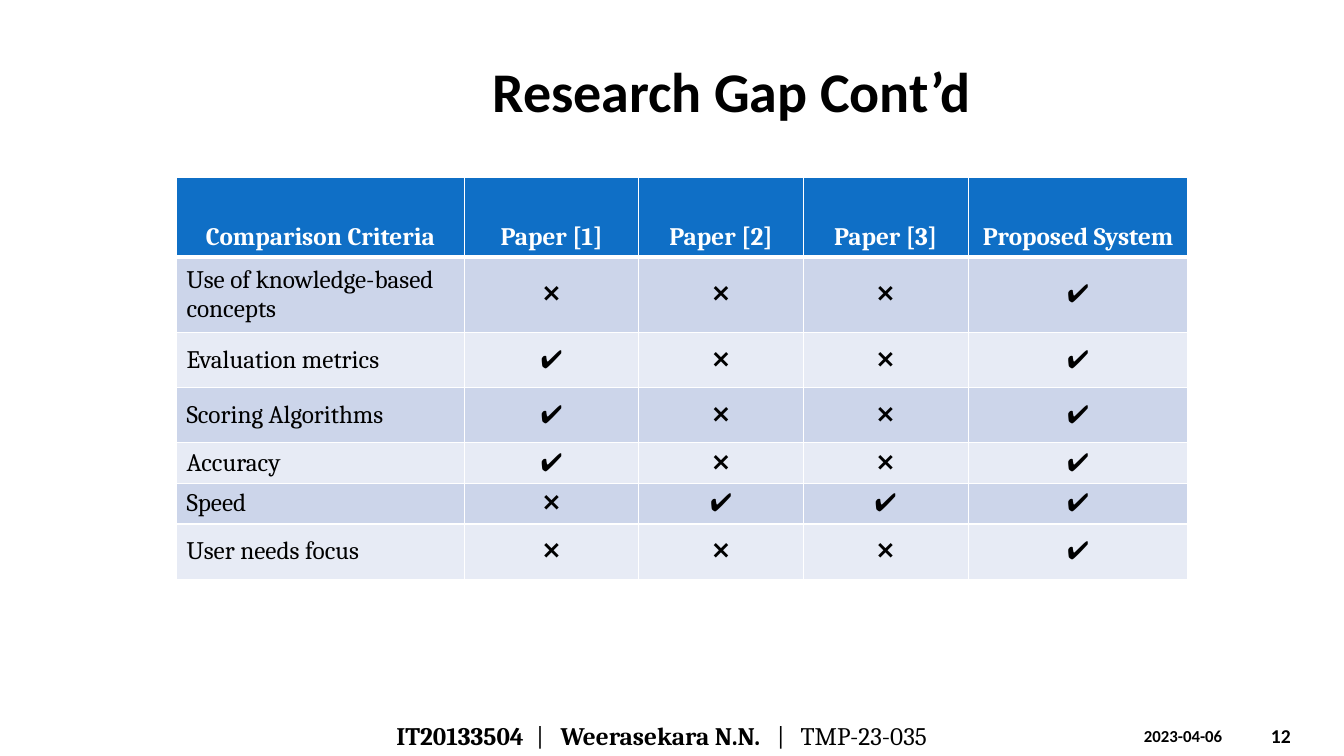
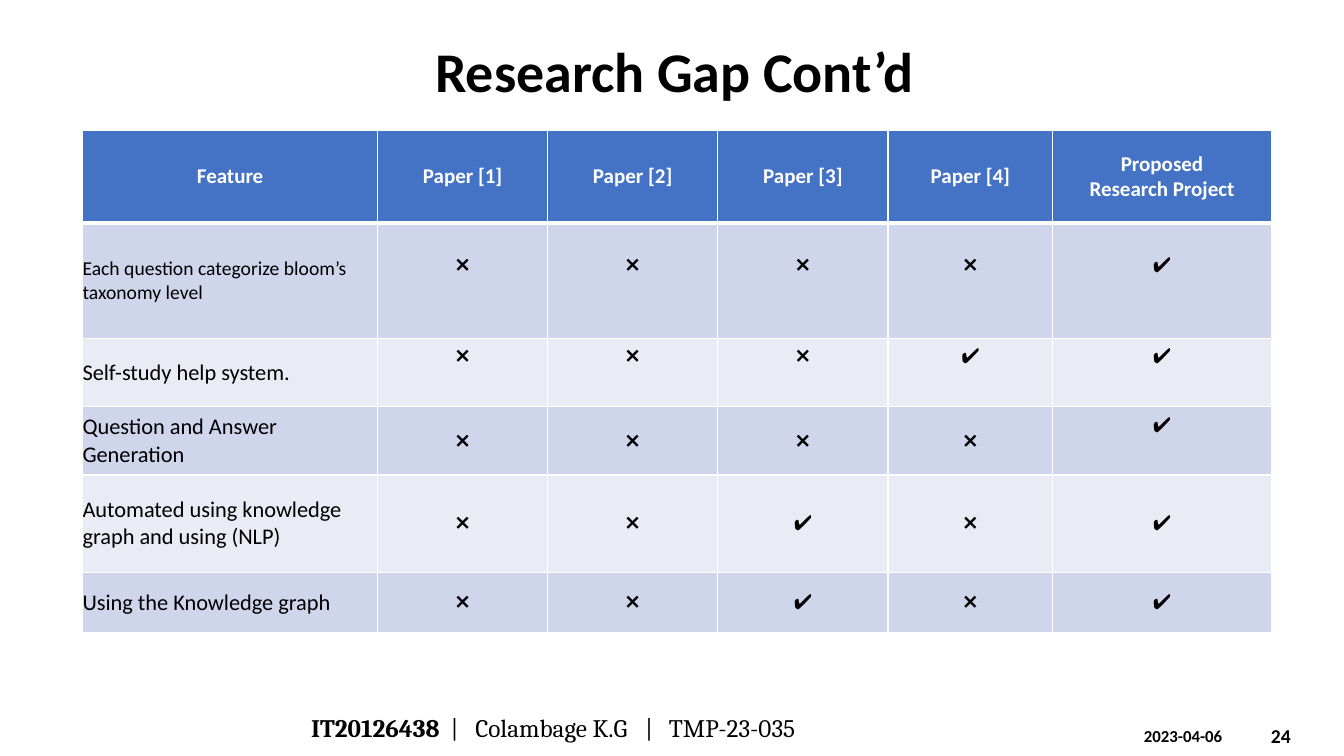
from lxml.etree import SubElement as Sub
from pptx import Presentation as Deck
from pptx.dml.color import RGBColor as Rgb
from pptx.enum.shapes import MSO_SHAPE as Form
from pptx.enum.text import MSO_ANCHOR as Anchor, PP_ALIGN as Align
from pptx.oxml.ns import qn
from pptx.util import Cm, Pt

HUES = {
    "ink": "000000", "white": "FFFFFF",
    "azure": "0F6FC6", "sky": "CCD5EA", "mist": "E7EBF5",
    "blue": "4472C4", "steel": "CFD5EA", "pale": "E9EBF5",
}

WIDE, HIGH = 33.87, 19.05
BANDS = [(1.04, 0.63), (0.51, 0.39)]
LIFT = 0.8

SLIDES = [
    dict(
        page="12", title=(12.16, 1.3),
        foot=(9.74, 18.03), bar=9.59,
        line="*IT20133504*\t|\t*Weerasekara N.N.*\t|\tTMP-23-035",
        spot=(4.45, 4.48), font="Cambria", head=18, mark=18,
        pad=(0.25, 0.13), top=Anchor.BOTTOM,
        hues=("azure", "sky", "mist"),
        cols=[7.25, 4.4, 4.14, 4.16, 5.54],
        names=["Comparison Criteria", "Paper [1]", "Paper [2]", "Paper [3]",
               "Proposed System"],
        tall=1.99,
        rows=[
            ("Use of knowledge-based concepts", "❌❌❌✔", 1.91, 18, None),
            ("Evaluation metrics", "✔❌❌✔", 1.39, 18, None),
            ("Scoring Algorithms", "✔❌❌✔", 1.39, 18, None),
            ("Accuracy", "✔❌❌✔", 0.8, 18, None),
            ("Speed", "❌✔✔✔", 1, 18, None),
            ("User needs focus", "❌❌❌✔", 1.39, 18, None),
        ],
    ),
    dict(
        page="24", title=(10.72, 0.79),
        foot=(7.59, 17.83), bar=8.42,
        line="*IT20126438*\t|\tColambage K.G\t|\tTMP-23-035",
        spot=(2.08, 3.29), font="Calibri", head=15, mark=15,
        pad=(0, 0), top=Anchor.MIDDLE,
        hues=("blue", "steel", "pale"),
        cols=[7.44, 4.28, 4.29, 4.29, 4.15, 5.51],
        names=["Feature", "Paper [1]", "Paper [2]", "Paper [3]", "Paper [4]",
               "Proposed\nResearch Project"],
        tall=2.33,
        rows=[
            ("Each question categorize bloom’s taxonomy level", "❌❌❌❌✔", 2.91, 14, 1),
            ("Self-study help system.", "❌❌❌✔✔", 1.72, 16, 1),
            ("Question and Answer Generation", "❌❌❌❌✔", 1.72, 16, 5),
            ("Automated using knowledge graph and using (NLP)", "❌❌✔❌✔", 2.45, 16, None),
            ("Using the Knowledge graph", "❌❌✔❌✔", 1.53, 16, None),
        ],
    ),
]


def write(frame, text, size, font="Calibri", hue="ink", bold=False,
          align=Align.LEFT, tabs=()):
    frame.word_wrap = True
    for i, line in enumerate(text.split("\n")):
        para = frame.add_paragraph() if i else frame.paragraphs[0]
        para.alignment = align
        if tabs:
            stops = Sub(para._p.get_or_add_pPr(), qn("a:tabLst"))
            for stop in tabs:
                Sub(stops, qn("a:tab"), pos=str(Cm(stop)), algn="l")
        for k, part in enumerate(line.split("*")):
            if part:
                run = para.add_run()
                run.text = part
                run.font.name = font
                run.font.size = Pt(size)
                run.font.bold = bold or k % 2 == 1
                run.font.color.rgb = Rgb.from_string(HUES[hue])


def edge(cell, heavy):
    props = cell._tc.get_or_add_tcPr()
    for side in "LRTB":
        width = Pt(3 if side == heavy else 1)
        line = Sub(props, qn(f"a:ln{side}"), w=str(width))
        fill = Sub(line, qn("a:solidFill"))
        Sub(fill, qn("a:srgbClr"), val=HUES["white"])


deck = Deck()
deck.slide_width, deck.slide_height = Cm(WIDE), Cm(HIGH)

for data in SLIDES:
    slide = deck.slides.add_slide(deck.slide_layouts[6])

    for tall, peak in BANDS:
        area = (0, HIGH - tall, WIDE, tall)
        band = slide.shapes.add_shape(Form.ISOSCELES_TRIANGLE, *map(Cm, area))
        band.adjustments[0] = peak
        band.shadow.inherit = False
        band.line.fill.background()
        band.fill.solid()
        band.fill.fore_color.rgb = Rgb.from_string(HUES["white"])
        tint = band._element.spPr.find(qn("a:solidFill"))[0]
        Sub(tint, qn("a:alpha"), val="20000")

    left, top = data["title"]
    start, base = data["foot"]
    bar = data["bar"]
    texts = [
        ((left, top, 13.13, 1.95), "Research Gap Cont’d", Anchor.TOP,
         dict(size=40, bold=True)),
        ((28.58, 18.16, 2.97, 0.76), "2023-04-06", Anchor.TOP,
         dict(size=12, bold=True)),
        ((31.78, 18.03, 1.88, 1.02), data["page"], Anchor.MIDDLE,
         dict(size=14, bold=True)),
        ((start, base, 18.8, 1.02), data["line"], Anchor.MIDDLE,
         dict(size=18, font="Cambria", tabs=(3.52, 4.14, bar, bar + 0.6))),
    ]
    for area, text, anchor, style in texts:
        frame = slide.shapes.add_textbox(*map(Cm, area)).text_frame
        frame.vertical_anchor = anchor
        write(frame, text, **style)

    rows = [(data["names"], data["tall"], data["head"], None)]
    rows += [([name, *marks], tall, size, lift)
             for name, marks, tall, size, lift in data["rows"]]
    cols = data["cols"]
    high = sum(row[1] for row in rows)
    grid = slide.shapes.add_table(
        len(rows), len(cols), *map(Cm, (*data["spot"], sum(cols), high))).table
    for col, width in zip(grid.columns, cols):
        col.width = Cm(width)

    side, gap = data["pad"]
    for r, (texts, tall, size, lift) in enumerate(rows):
        grid.rows[r].height = Cm(tall)
        hue = data["hues"][0 if r == 0 else 2 - r % 2]
        for c, text in enumerate(texts):
            cell = grid.cell(r, c)
            edge(cell, {0: "B", 1: "T"}.get(r))
            cell.fill.solid()
            cell.fill.fore_color.rgb = Rgb.from_string(HUES[hue])
            cell.margin_left = cell.margin_right = Cm(side)
            cell.margin_top = Cm(gap)
            cell.margin_bottom = Cm(LIFT if lift and c >= lift else gap)
            cell.vertical_anchor = Anchor.MIDDLE if r else data["top"]
            write(cell.text_frame, text, data["mark"] if c else size,
                  font=data["font"], hue="ink" if r else "white", bold=r == 0,
                  align=Align.LEFT if r and c == 0 else Align.CENTER)

deck.save("out.pptx")
